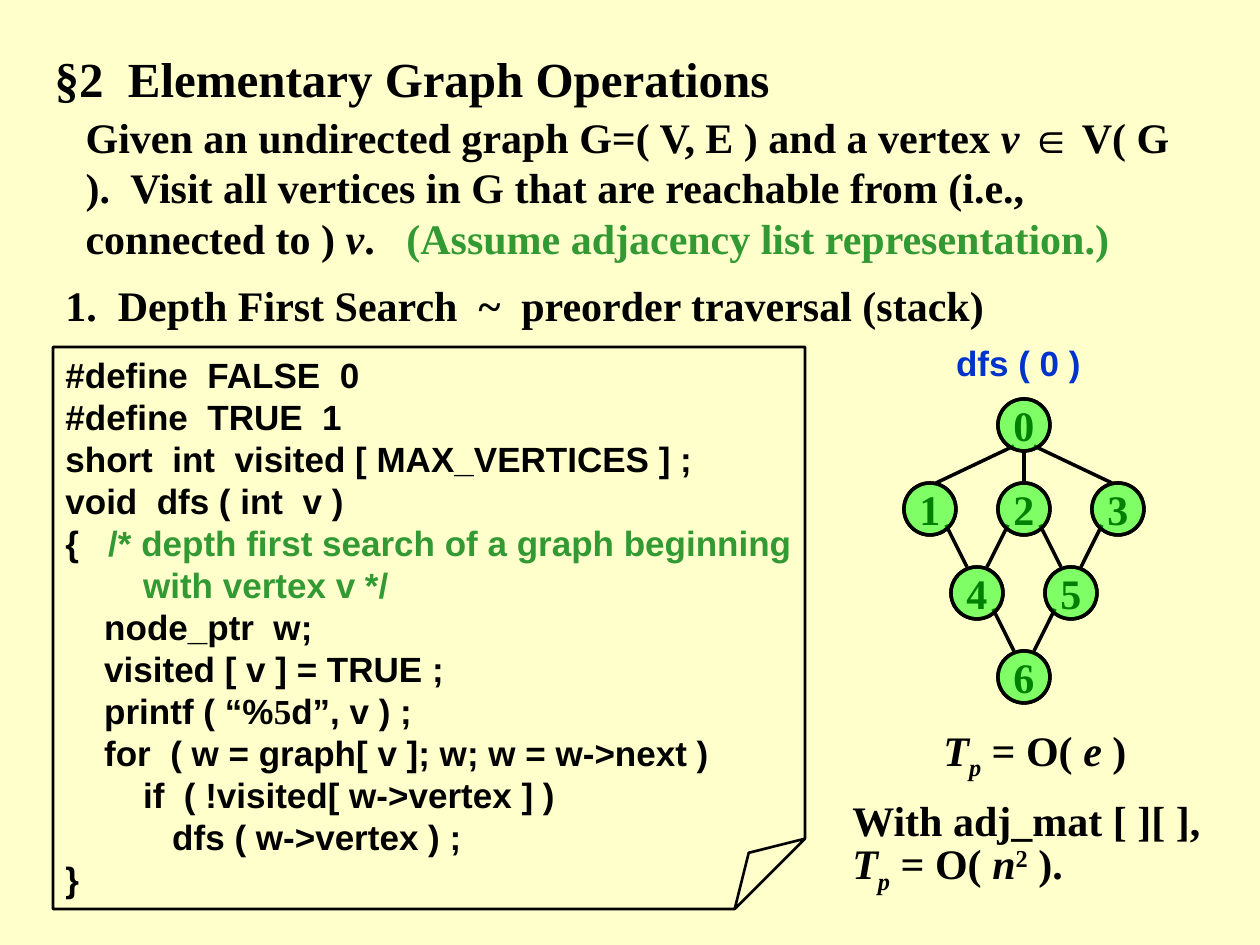
from dataclasses import dataclass

from lxml import etree
from pptx import Presentation
from pptx.dml.color import RGBColor
from pptx.enum.shapes import MSO_CONNECTOR, MSO_SHAPE
from pptx.enum.text import MSO_ANCHOR, MSO_AUTO_SIZE, PP_ALIGN
from pptx.oxml.ns import qn
from pptx.util import Emu, Pt

LEFT, CENTER = PP_ALIGN.LEFT, PP_ALIGN.CENTER
TOP, MIDDLE = MSO_ANCHOR.TOP, MSO_ANCHOR.MIDDLE
FIXED_SIZE = MSO_AUTO_SIZE.NONE
ELLIPSE, FOLDED = MSO_SHAPE.OVAL, MSO_SHAPE.FOLDED_CORNER
STRAIGHT = MSO_CONNECTOR.STRAIGHT
EMU_PER_PX = 914400 / 126


@dataclass(frozen=True)
class Theme:
    paper: str = "FFFFCC"
    ink: str = "000000"
    comment: str = "339933"
    call: str = "0033CC"
    visited: str = "00FF00"
    serif: str = "Times New Roman"
    sans: str = "Arial"
    title_size: int = 28
    body_size: int = 24
    code_size: int = 20
    leading: float = 1.2


THEME = Theme()
ITALIC = {"italic": True}
SUBSCRIPT = {"italic": True, "baseline": -25000}
SUPERSCRIPT = {"baseline": 30000}
GREEN = {"color": THEME.comment}

DEFINITION = [
    ("Given an undirected graph G=( V, E ) and a vertex ", {}),
    ("v ", ITALIC), ("∈", {"face": THEME.sans}),
    (" V( G ).  Visit all vertices in G that are reachable from (i.e., connected to ) ", {}),
    ("v", ITALIC), (".   ", {}), ("(Assume adjacency list representation.)", GREEN),
]
CODE = [
    "#define  FALSE  0",
    "#define  TRUE  1",
    "short  int  visited [ MAX_VERTICES ] ;",
    "void  dfs ( int  v )",
    [("{   ", {}), ("/* depth first search of a graph beginning", GREEN)],
    [("        with vertex v */", GREEN)],
    "    node_ptr  w;",
    "    visited [ v ] = TRUE ;",
    [("    printf ( “%", {}), ("5", {"face": THEME.serif}), ("d”, v ) ;", {})],
    "    for  ( w = graph[ v ]; w; w = w->next )",
    "        if  ( !visited[ w->vertex ] )",
    "           dfs ( w->vertex ) ;",
    "}",
]
TIME = [("T", ITALIC), ("p", SUBSCRIPT), (" = O( ", {})]
LIST_COST = TIME + [("e", ITALIC), (" )", {})]
MATRIX_COST = [("With adj_mat [ ][ ], ", {})] + TIME + [
    ("n", ITALIC), ("2", SUPERSCRIPT), (" ).", {})]

ROOT_X, ROOT_Y = 1024, 425
HALF_COLUMN, ROW, RADIUS = 47, 84, 26
VERTICES = [(0, 0), (-2, 1), (0, 1), (2, 1), (-1, 2), (1, 2), (0, 3)]
EDGES = [(0, 1), (0, 2), (0, 3), (1, 4), (2, 4), (2, 5), (3, 5), (4, 6), (5, 6)]


def px(length):
    return Emu(round(length * EMU_PER_PX))


def rgb(color):
    return RGBColor.from_string(color)


def style_font(font, face=None, size=None, color=None, italic=None):
    font.name, font.italic = face, italic
    if size:
        font.size = Pt(size)
    if color:
        font.color.rgb = rgb(color)


def write(frame, lines, size, face=THEME.serif, color=THEME.ink, align=LEFT,
          anchor=TOP, wrap=True):
    frame.word_wrap, frame.auto_size, frame.vertical_anchor = wrap, FIXED_SIZE, anchor
    base = {"face": face, "size": size, "color": color}
    for index, line in enumerate(lines):
        paragraph = frame.add_paragraph() if index else frame.paragraphs[0]
        paragraph.alignment = align
        paragraph.space_before = Pt(0)
        paragraph.line_spacing = Pt(size * THEME.leading)
        paragraph.font.bold = True
        pieces = [(line, {})] if isinstance(line, str) else line
        varied = {key for _, style in pieces for key in style}
        style_font(paragraph.font, **{k: v for k, v in base.items() if k not in varied})
        for text, style in pieces:
            run = paragraph.add_run()
            run.text = text
            own = {k: base[k] for k in base if k in varied} | style
            baseline = own.pop("baseline", None)
            style_font(run.font, **own)
            if baseline:
                run._r.get_or_add_rPr().set("baseline", str(baseline))


def fill_placeholder(holder, box, line, size):
    holder.left, holder.top, holder.width, holder.height = map(px, box)
    properties = holder.text_frame.paragraphs[0]._p.get_or_add_pPr()
    properties.set("marL", "0")
    properties.set("indent", "0")
    etree.SubElement(properties, qn("a:buNone"))
    write(holder.text_frame, [line], size)


def add_text(slide, box, lines, size, **style):
    label = slide.shapes.add_textbox(*map(px, box))
    write(label.text_frame, lines, size, **style)


def add_outline(slide, preset, box, weight):
    outline = slide.shapes.add_shape(preset, *map(px, box))
    outline.shadow.inherit = False
    outline.fill.background()
    outline.line.color.rgb = rgb(THEME.ink)
    outline.line.width = Pt(weight)
    return outline


def add_page(slide, box):
    page = add_outline(slide, FOLDED, box, 1.5)
    guides = page._element.spPr.find(qn("a:prstGeom")).get_or_add_avLst()
    etree.SubElement(guides, qn("a:gd"), name="adj", fmla="val 12500")


def vertex_center(vertex):
    column, row = VERTICES[vertex]
    return ROOT_X + column * HALF_COLUMN, ROOT_Y + row * ROW


def add_vertex(slide, vertex):
    x, y = vertex_center(vertex)
    return add_outline(slide, ELLIPSE, (x - RADIUS, y - RADIUS, 2 * RADIUS, 2 * RADIUS), 2)


def add_edge(slide, parent, child):
    (x1, y1), (x2, y2) = vertex_center(parent), vertex_center(child)
    side = (x2 > x1) - (x2 < x1)
    out_x, out_y, in_x = (10, 21, 6) if parent == 0 else (16, 16, 10)
    if not side:
        out_y = RADIUS
    ends = (x1 + side * out_x, y1 + out_y, x2 - side * in_x, y2 - RADIUS)
    edge = slide.shapes.add_connector(STRAIGHT, *map(px, ends))
    edge.line.color.rgb = rgb(THEME.ink)
    edge.line.width = Pt(2)
    etree.SubElement(edge._element.spPr, qn("a:effectLst"))


def add_graph(slide):
    for vertex in range(len(VERTICES)):
        node = add_vertex(slide, vertex)
        write(node.text_frame, [str(vertex)], THEME.body_size,
              align=CENTER, anchor=MIDDLE, wrap=False)
    for parent, child in EDGES:
        add_edge(slide, parent, child)
    for vertex in range(len(VERTICES)):
        mark = add_vertex(slide, vertex)
        mark.fill.solid()
        mark.fill.fore_color.rgb = rgb(THEME.visited)
        tint = mark._element.spPr.find(qn("a:solidFill"))[0]
        etree.SubElement(tint, qn("a:alpha"), val="50000")


def main():
    deck = Presentation()
    deck.slide_width, deck.slide_height = px(1260), px(945)
    slide = deck.slides.add_slide(deck.slide_layouts[1])
    slide.background.fill.solid()
    slide.background.fill.fore_color.rgb = rgb(THEME.paper)
    title, definition = slide.placeholders
    fill_placeholder(title, (42, 42, 1155, 72),
                     "§2  Elementary Graph Operations", THEME.title_size)
    fill_placeholder(definition, (73, 105, 1113, 164), DEFINITION, THEME.body_size)
    add_text(slide, (53, 273, 1113, 63),
             ["1.  Depth First Search  ~  preorder traversal (stack)"], THEME.body_size)
    add_text(slide, (53, 347, 777, 559), CODE, THEME.code_size, face=THEME.sans)
    add_page(slide, (53, 347, 752, 562))
    add_graph(slide)
    add_text(slide, (945, 336, 147, 53), ["dfs ( 0 )"], THEME.code_size, face=THEME.sans,
             color=THEME.call, align=CENTER, anchor=MIDDLE, wrap=False)
    add_text(slide, (851, 725, 368, 71), [LIST_COST], THEME.body_size, align=CENTER)
    add_text(slide, (840, 788, 388, 121), [MATRIX_COST], THEME.body_size)
    deck.save("out.pptx")


if __name__ == "__main__":
    main()
